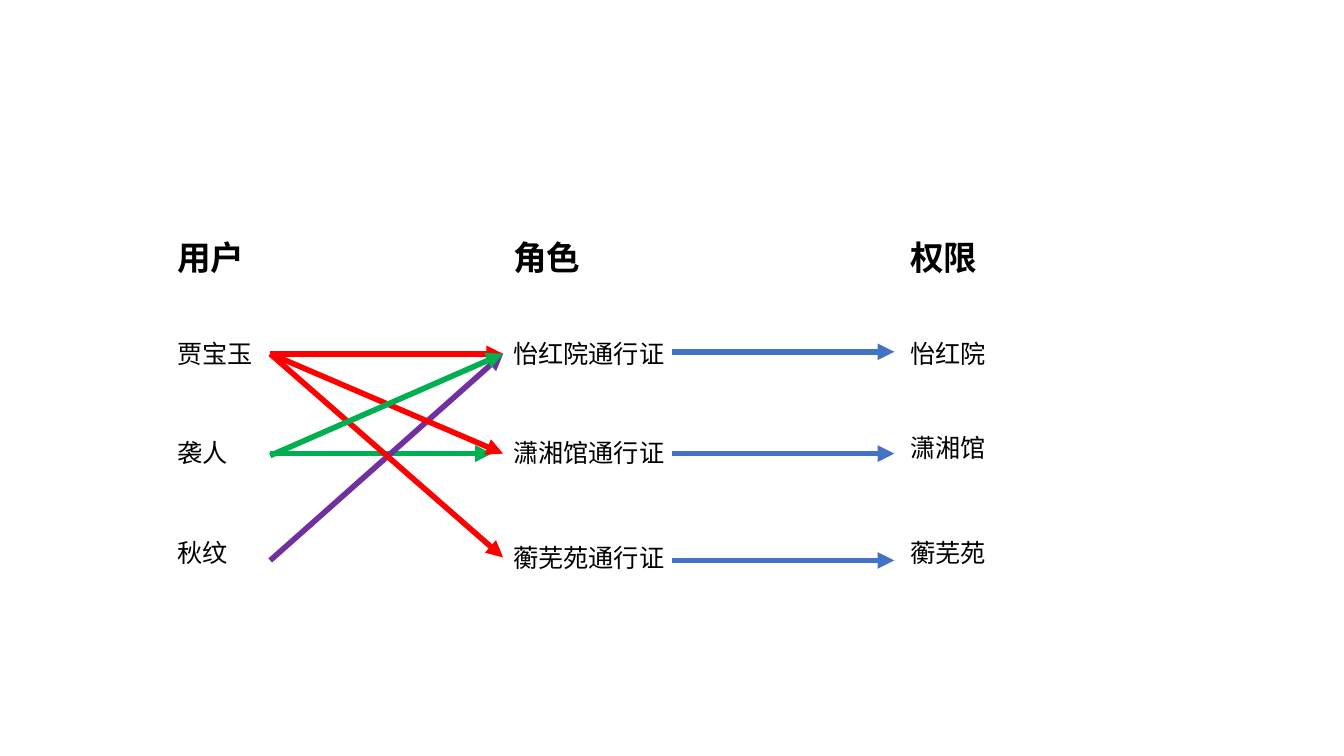
from lxml.etree import SubElement
from pptx import Presentation
from pptx.dml.color import RGBColor
from pptx.enum.shapes import MSO_CONNECTOR
from pptx.enum.text import MSO_AUTO_SIZE
from pptx.oxml.ns import qn
from pptx.util import Inches, Pt

THEME = {
    "font": "Noto Sans CJK SC",
    "text": "000000",
    "heading": {"size": Pt(24), "bold": True},
    "entry": {"size": Pt(18), "bold": False},
    "arrow_width": Pt(4),
    "贾宝玉": "FF0000",
    "袭人": "00B050",
    "秋纹": "7030A0",
    "grant": "4472C4",
}

COLUMNS = [
    ("用户", 1.66, [("贾宝玉", 3.31), ("袭人", 4.29), ("秋纹", 5.28)]),
    ("角色", 4.99, [("怡红院通行证", 3.31), ("潇湘馆通行证", 4.29), ("蘅芜苑通行证", 5.33)]),
    ("权限", 8.93, [("怡红院", 3.31), ("潇湘馆", 4.24), ("蘅芜苑", 5.28)]),
]
HEADING_TOP, HEADING_HEIGHT = 2.3, 0.5
ENTRY_WIDTH, ENTRY_HEIGHT = 1.85, 0.4

USER_EDGE, ROLE_EDGE = 2.68, 4.99
ASSIGNMENTS = [
    ("贾宝玉", 3.51, ROLE_EDGE, 3.51),
    ("袭人", 4.5, 4.88, 4.5),
    ("秋纹", 5.56, ROLE_EDGE, 3.51),
    ("贾宝玉", 3.51, ROLE_EDGE, 4.5),
    ("贾宝玉", 3.51, ROLE_EDGE, 5.53),
]
GRANT_START, GRANT_END = 6.67, 8.87
GRANT_LEVELS = [3.49, 4.5, 5.56]
LAST_ASSIGNMENT = ("袭人", 4.52, ROLE_EDGE, 3.51)


def add_label(slide, wording, left, top, height, style):
    label = slide.shapes.add_textbox(
        Inches(left), Inches(top), Inches(ENTRY_WIDTH), Inches(height))
    frame = label.text_frame
    frame.word_wrap = True
    frame.auto_size = MSO_AUTO_SIZE.SHAPE_TO_FIT_TEXT
    run = frame.paragraphs[0].add_run()
    run.text = wording
    for attribute, value in {"name": THEME["font"], **THEME[style]}.items():
        setattr(run.font, attribute, value)
    run.font.color.rgb = RGBColor.from_string(THEME["text"])
    SubElement(run.font._element, qn("a:ea"), typeface=THEME["font"])


def add_arrow(slide, role, start_x, start_y, end_x, end_y):
    arrow = slide.shapes.add_connector(
        MSO_CONNECTOR.STRAIGHT,
        *(Inches(value) for value in (start_x, start_y, end_x, end_y)))
    arrow.line.width = THEME["arrow_width"]
    arrow.line.color.rgb = RGBColor.from_string(THEME[role])
    properties = arrow._element.spPr
    SubElement(properties.find(qn("a:ln")), qn("a:tailEnd"), type="triangle")
    SubElement(properties, qn("a:effectLst"))


def main():
    deck = Presentation()
    deck.slide_width, deck.slide_height = Inches(13.33), Inches(7.5)
    slide = deck.slides.add_slide(deck.slide_layouts[6])

    for heading, left, entries in COLUMNS:
        add_label(slide, heading, left, HEADING_TOP, HEADING_HEIGHT, "heading")
        for entry, top in entries:
            add_label(slide, entry, left, top, ENTRY_HEIGHT, "entry")

    arrows = [(user, USER_EDGE, *ends) for user, *ends in ASSIGNMENTS]
    arrows += [("grant", GRANT_START, level, GRANT_END, level) for level in GRANT_LEVELS]
    last_user, *last_ends = LAST_ASSIGNMENT
    arrows.append((last_user, USER_EDGE, *last_ends))
    for arrow in arrows:
        add_arrow(slide, *arrow)

    deck.save("out.pptx")


if __name__ == "__main__":
    main()
